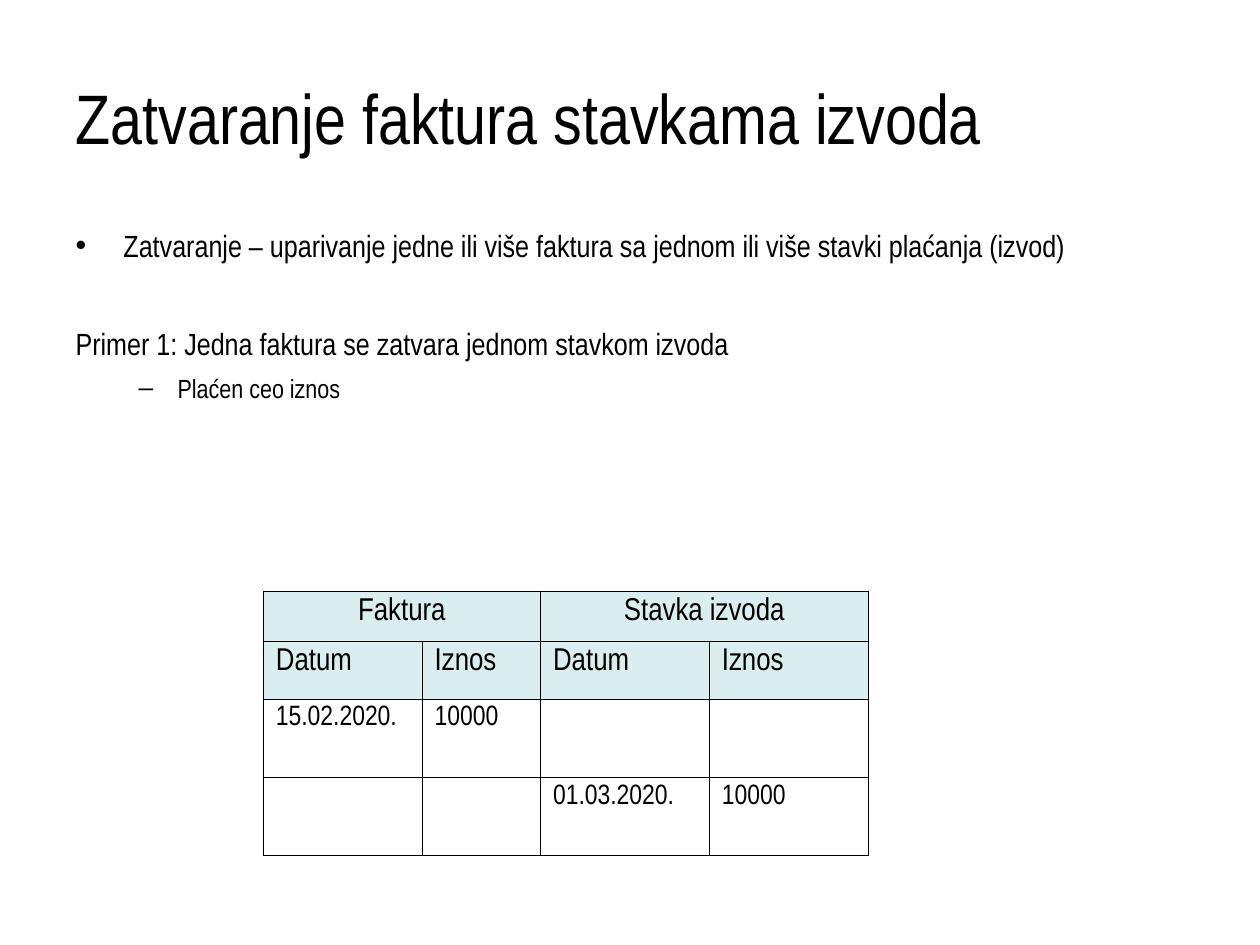
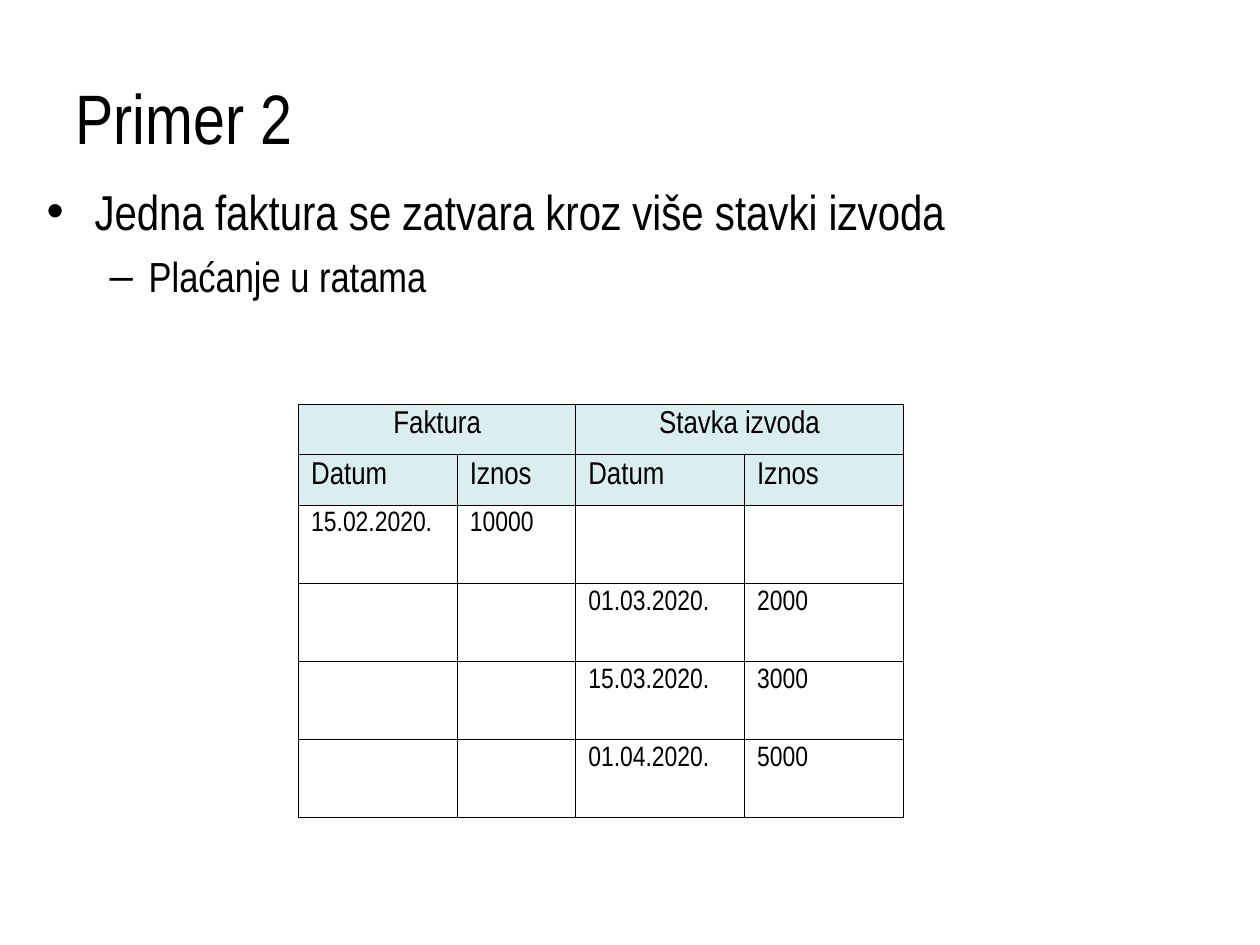
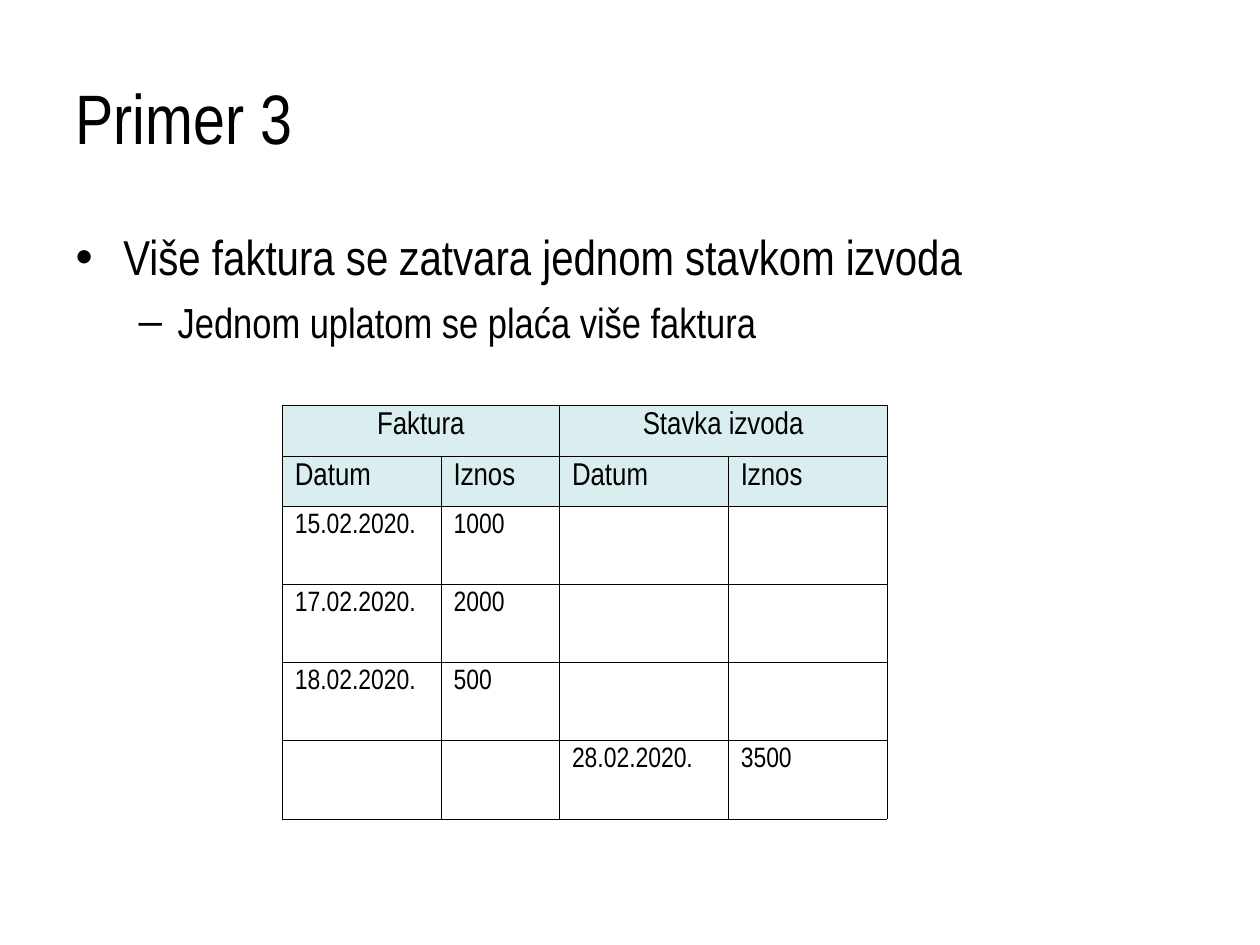
"""Build three slides on closing invoices with bank statement items."""
from lxml import etree
from pptx import Presentation
from pptx import util as u
from pptx.dml.color import RGBColor
from pptx.enum import text
from pptx.oxml.ns import qn

COLOURS = {"ink": "000000", "heading": "DAEDEF", "paper": "FFFFFF"}
LEVELS = [
    {"marL": 0.38, "indent": -0.38},
    {"marL": 0.81, "indent": -0.31},
]
TITLE_BOX = (0.5, 0.3, 9, 1.25)
COLUMNS = [1.26, 0.94, 1.34, 1.26]
HEADINGS = [
    ["Faktura", "", "Stavka izvoda", ""],
    ["Datum", "Iznos", "Datum", "Iznos"],
]
ENTRY_HEIGHT = 0.62

LESSONS = [
    {
        "title": "Zatvaranje faktura stavkama izvoda",
        "points_box": (0.5, 1.75, 9, 1.92),
        "points": [
            (0, 17.5, 0, True, "Zatvaranje – uparivanje jedne ili više faktura "
                               "sa jednom ili više stavki plaćanja (izvod)"),
            (0, 17.5, 35, False, "Primer 1: Jedna faktura se zatvara jednom stavkom izvoda"),
            (1, 15, 6, True, "Plaćen ceo iznos"),
        ],
        "ledger_at": (2.09, 4.69),
        "heading_heights": [0.4, 0.46],
        "entries": [
            ["15.02.2020.", "10000", "", ""],
            ["", "", "01.03.2020.", "10000"],
        ],
    },
    {
        "title": "Primer 2",
        "points_box": (0.27, 1.39, 9, 3.65),
        "points": [
            (0, 28, 0, True, "Jedna faktura se zatvara kroz više stavki izvoda"),
            (1, 24, 6, True, "Plaćanje u ratama"),
        ],
        "ledger_at": (2.37, 3.21),
        "heading_heights": [0.4, 0.4],
        "entries": [
            ["15.02.2020.", "10000", "", ""],
            ["", "", "01.03.2020.", "2000"],
            ["", "", "15.03.2020.", "3000"],
            ["", "", "01.04.2020.", "5000"],
        ],
    },
    {
        "title": "Primer 3",
        "points_box": (0.5, 1.75, 9, 3.65),
        "points": [
            (0, 28, 0, True, "Više faktura se zatvara jednom stavkom izvoda"),
            (1, 24, 6, True, "Jednom uplatom se plaća više faktura"),
        ],
        "ledger_at": (2.24, 3.22),
        "heading_heights": [0.4, 0.4],
        "entries": [
            ["15.02.2020.", "1000", "", ""],
            ["17.02.2020.", "2000", "", ""],
            ["18.02.2020.", "500", "", ""],
            ["", "", "28.02.2020.", "3500"],
        ],
    },
]


def write(paragraph, words, size, **layout):
    """Put formatted words into a paragraph."""
    for name, value in layout.items():
        setattr(paragraph, name, value)
    run = paragraph.add_run()
    run.text = words
    for name, value in {"name": "Arial Narrow", "size": u.Pt(size), "bold": False}.items():
        setattr(run.font, name, value)
    run.font.color.rgb = RGBColor.from_string(COLOURS["ink"])


def place(placeholder, box):
    """Move a placeholder and fix its text size."""
    for name, value in zip(("left", "top", "width", "height"), box):
        setattr(placeholder, name, u.Inches(value))
    placeholder.text_frame.auto_size = text.MSO_AUTO_SIZE.NONE
    return placeholder.text_frame


deck = Presentation()
deck.slide_width, deck.slide_height = u.Inches(10), u.Inches(7.5)

for lesson in LESSONS:
    slide = deck.slides.add_slide(deck.slide_layouts[1])
    title = place(slide.shapes.title, TITLE_BOX)
    title.vertical_anchor = text.MSO_ANCHOR.MIDDLE
    write(title.paragraphs[0], lesson["title"], 40, alignment=text.PP_ALIGN.LEFT)

    points = place(slide.placeholders[1], lesson["points_box"])
    for order, (level, size, gap, bulleted, words) in enumerate(lesson["points"]):
        point = points.add_paragraph() if order else points.paragraphs[0]
        properties = point._p.get_or_add_pPr()
        for name, value in LEVELS[level].items():
            properties.set(name, str(u.Inches(value)))
        if not bulleted:
            etree.SubElement(properties, qn("a:buNone"))
        write(point, words, size, level=level, space_before=u.Pt(gap))

    entries = HEADINGS + lesson["entries"]
    heights = lesson["heading_heights"] + [ENTRY_HEIGHT] * len(lesson["entries"])
    left, top = lesson["ledger_at"]
    ledger = slide.shapes.add_table(
        len(entries), len(COLUMNS), u.Inches(left), u.Inches(top),
        u.Inches(sum(COLUMNS)), u.Inches(sum(heights))).table
    ledger.first_row = ledger.horz_banding = False
    for column, width in zip(ledger.columns, COLUMNS):
        column.width = u.Inches(width)
    for row, height in zip(ledger.rows, heights):
        row.height = u.Inches(height)
    for first in (0, 2):
        ledger.cell(0, first).merge(ledger.cell(0, first + 1))

    for r, entry in enumerate(entries):
        is_heading = r < len(HEADINGS)
        for c, words in enumerate(entry):
            cell = ledger.cell(r, c)
            for side in ("lnL", "lnR", "lnT", "lnB"):
                border = etree.SubElement(
                    cell._tc.get_or_add_tcPr(), qn(f"a:{side}"), w=str(u.Pt(0.45)))
                ink = etree.SubElement(border, qn("a:solidFill"))
                etree.SubElement(ink, qn("a:srgbClr"), val=COLOURS["ink"])
            cell.fill.solid()
            cell.fill.fore_color.rgb = RGBColor.from_string(
                COLOURS["heading" if is_heading else "paper"])
            if words:
                write(cell.text_frame.paragraphs[0], words, 18 if is_heading else 16,
                      alignment=text.PP_ALIGN.LEFT if r else text.PP_ALIGN.CENTER)

deck.save("out.pptx")
